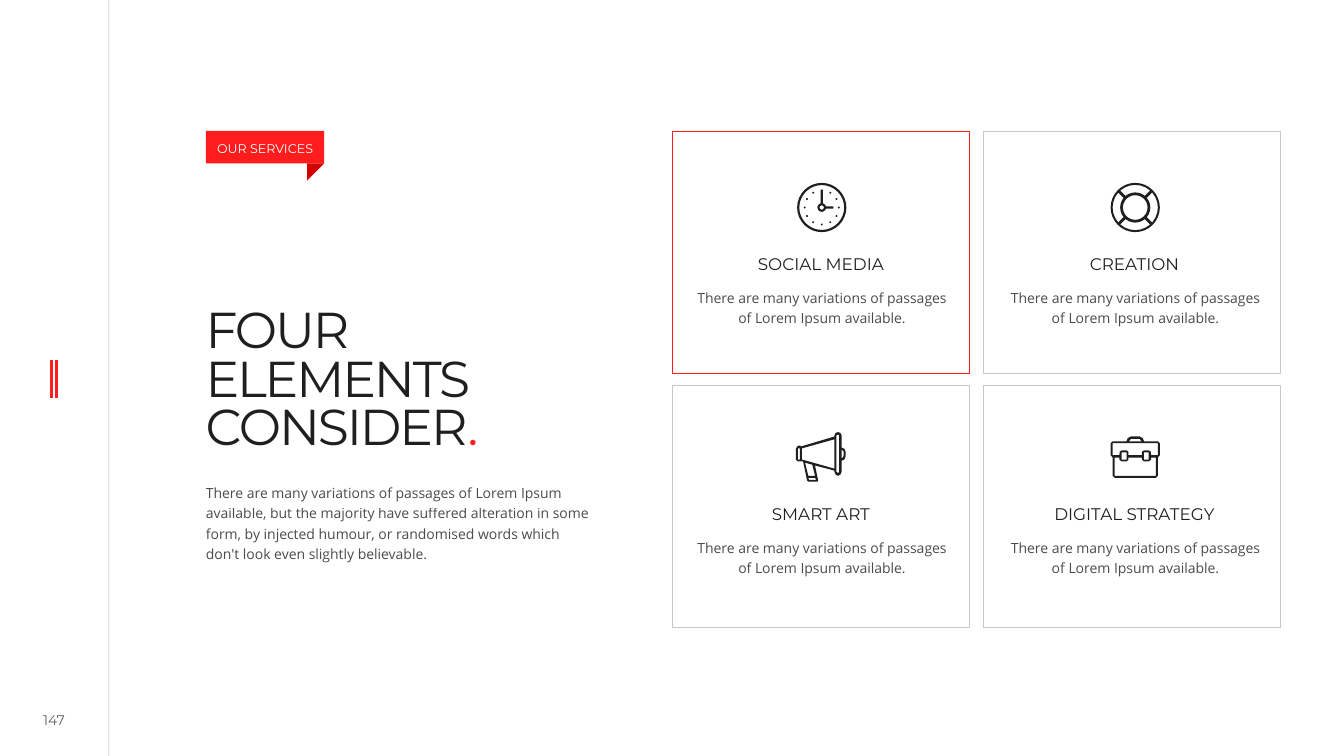
from dataclasses import dataclass
from math import asin, cos, degrees, radians, sin

from lxml import etree
from pptx import Presentation
from pptx import util as u
from pptx.dml.color import RGBColor
from pptx.enum import shapes, text
from pptx.oxml import ns

COLORS = {"ink": "1F1F1F", "red": "FE1C1D", "fold": "D30102",
          "frame": "C7C7C7", "white": "FFFFFF"}
HEAD_FONT, BODY_FONT = "Montserrat", "Open Sans"
CARD_TEXT = "There are many variations of passages of Lorem Ipsum available."
INTRO = ("There are many variations of passages of Lorem Ipsum available, but the majority "
         "have suffered alteration in some form, by injected humour, or randomised words "
         "which don't look even slightly believable.")
Point = tuple[float, float]
Outline = list[Point]


@dataclass(frozen=True)
class Style:
    size: float
    font: str = HEAD_FONT
    color: str = "ink"
    opacity: int = 100
    align: text.PP_ALIGN = text.PP_ALIGN.CENTER
    spacing: float | None = None


HEADING = Style(12, spacing=0.7)
CARD_BODY = Style(10, BODY_FONT, opacity=80, spacing=1.2)
INTRO_BODY = Style(10, BODY_FONT, opacity=80, align=text.PP_ALIGN.LEFT, spacing=1.2)
TITLE = Style(36, align=text.PP_ALIGN.LEFT, spacing=0.8)


def rgb(name: str) -> RGBColor:
    return RGBColor.from_string(COLORS[name])


def fade(element, opacity: int) -> None:
    """Make the first colour inside the element partly transparent."""
    color = element.find(f".//{ns.qn('a:srgbClr')}")
    etree.SubElement(color, ns.qn("a:alpha"), val=str(opacity * 1000))


def write(box, words: str, style: Style, top: float = 0.13, bottom: float = 0.13,
          anchor=text.MSO_ANCHOR.TOP):
    frame = box.text_frame
    frame.word_wrap, frame.auto_size = True, text.MSO_AUTO_SIZE.NONE
    frame.vertical_anchor = anchor
    frame.margin_left = frame.margin_right = 0
    frame.margin_top, frame.margin_bottom = u.Cm(top), u.Cm(bottom)
    para = frame.paragraphs[0]
    para.text = words
    para.alignment, para.line_spacing = style.align, style.spacing
    para.font.name, para.font.size = style.font, u.Pt(style.size)
    para.font.color.rgb = rgb(style.color)
    if style.opacity < 100:
        fade(para._p, style.opacity)
    return para


def add_text(page, area: tuple, words: str, style: Style, **options) -> None:
    write(page.shapes.add_textbox(*map(u.Cm, area)), words, style, **options)


def paint(shape, fill: str | None, line: str | None = None) -> None:
    shape.shadow.inherit = False
    if fill:
        shape.fill.solid()
        shape.fill.fore_color.rgb = rgb(fill)
    else:
        shape.fill.background()
    if line:
        shape.line.color.rgb = rgb(line)
        shape.line.width = u.Pt(0.5)
    else:
        shape.line.fill.background()


def add_block(page, kind, area: tuple, fill: str | None, line: str | None = None):
    block = page.shapes.add_shape(kind, *map(u.Cm, area))
    paint(block, fill, line)
    return block


def add_line(page, x: float, top: float, bottom: float, color: str, weight: float,
             opacity: int = 100) -> None:
    line = page.shapes.add_connector(shapes.MSO_CONNECTOR.STRAIGHT,
                                     *map(u.Cm, (x, top, x, bottom)))
    line.line.color.rgb = rgb(color)
    line.line.width = u.Pt(weight)
    etree.SubElement(line._element.spPr, ns.qn("a:effectLst"))
    if opacity < 100:
        fade(line._element.spPr, opacity)


def polar(radius: float, angle: float) -> Point:
    return radius * cos(radians(angle)), radius * sin(radians(angle))


def circle(radius: float, count: int = 32, center: Point = (0, 0)) -> Outline:
    ring = [polar(radius, 360 * step / count) for step in range(count)]
    return [(center[0] + x, center[1] + y) for x, y in ring]


def rectangle(left: float, top: float, right: float, bottom: float) -> Outline:
    return [(left, top), (right, top), (right, bottom), (left, bottom)]


def mirrored(*half: Point) -> Outline:
    """Complete the right half of a symmetric outline with its left half."""
    return [*half, *((-x, y) for x, y in reversed(half))]


def pane(middle: float, inner: float = 0.38, outer: float = 0.57) -> Outline:
    """Opening between two spokes of the lifebuoy."""
    points = []
    for radius, direction in ((outer, 1), (inner, -1)):
        reach = 45 - degrees(asin(0.035 / radius))
        points += [polar(radius, middle + direction * reach * step / 3) for step in range(-3, 4)]
    return points


CLOCK = [circle(0.62), circle(0.565), circle(0.11, 12), circle(0.055, 12),
         rectangle(-0.03, -0.45, 0.03, -0.11), rectangle(0.11, -0.03, 0.29, 0.03),
         *(circle(0.025, 6, polar(0.43, hour * 30 - 90)) for hour in range(1, 12))]
LIFEBUOY = [circle(0.62), circle(0.31), *(pane(middle) for middle in (0, 90, 180, 270))]
MEGAPHONE = [
    [(0.5, -0.25), (0.5, -0.56), (0.47, -0.62), (0.41, -0.64), (0.35, -0.62), (0.32, -0.56),
     (0.32, -0.53), (-0.52, -0.28), (-0.55, -0.3), (-0.6, -0.3), (-0.65, -0.23),
     (-0.65, 0.05), (-0.6, 0.1), (-0.47, 0.1), (-0.37, 0.58), (-0.34, 0.61),
     (-0.11, 0.61), (-0.09, 0.58), (-0.17, 0.2), (0.32, 0.33), (0.32, 0.36),
     (0.35, 0.43), (0.41, 0.46), (0.47, 0.43), (0.5, 0.36), (0.5, 0.08),
     (0.57, 0.05), (0.6, -0.03), (0.6, -0.15), (0.57, -0.22)],
    [(0.5, 0.03), (0.55, -0.03), (0.55, -0.15), (0.5, -0.2)],
    [(0.37, -0.56), (0.41, -0.58), (0.44, -0.56), (0.44, 0.36), (0.41, 0.39), (0.37, 0.36)],
    [(0.32, 0.28), (-0.5, 0.05), (-0.5, -0.23), (0.32, -0.46)],
    [(-0.17, 0.46), (-0.34, 0.46), (-0.42, 0.13), (-0.24, 0.18)],
    [(-0.14, 0.56), (-0.32, 0.56), (-0.34, 0.51), (-0.17, 0.51)],
    rectangle(-0.6, -0.23, -0.55, 0.05)]
BRIEFCASE = [
    mirrored((0.11, -0.53), (0.19, -0.49), (0.22, -0.41), (0.57, -0.41), (0.62, -0.36),
             (0.62, -0.06), (0.57, 0), (0.57, 0.46), (0.52, 0.51)),
    mirrored((0.11, -0.47), (0.16, -0.41)),
    mirrored((0.57, -0.36), (0.57, -0.06), (0.4, -0.06), (0.39, -0.15), (0.34, -0.18),
             (0.22, -0.18), (0.17, -0.15), (0.17, -0.06)),
    mirrored((0.17, 0), (0.17, 0.05), (0.22, 0.1), (0.34, 0.1), (0.4, 0.05), (0.4, 0),
             (0.52, 0), (0.52, 0.46)),
    rectangle(0.22, -0.13, 0.34, 0.05), rectangle(-0.34, -0.13, -0.22, 0.05)]


@dataclass(frozen=True)
class Card:
    name: str
    icon: list[Outline]
    frame: str = "frame"


CARDS = (Card("SOCIAL MEDIA", CLOCK, "red"), Card("CREATION", LIFEBUOY),
         Card("SMART ART", MEGAPHONE), Card("DIGITAL STRATEGY", BRIEFCASE))


def add_icon(page, outlines: list[Outline], x: float, y: float) -> None:
    """Fill all outlines as one shape, so that inner ones become holes."""
    builder = None
    for outline in outlines:
        start, *rest = [(u.Cm(x + dx), u.Cm(y + dy)) for dx, dy in outline]
        if builder is None:
            builder = page.shapes.build_freeform(*start)
        else:
            builder.move_to(*start)
        builder.add_line_segments(rest, close=True)
    paint(builder.convert_to_shape(), "ink")


def add_card(page, card: Card, column: int, row: int) -> None:
    add_block(page, shapes.MSO_SHAPE.RECTANGLE,
              (16.94 + 7.84 * column, 3.3 + 6.41 * row, 7.5, 6.1), None, card.frame)
    x, y = 20.71 + 7.9 * column, 5.23 + 6.3 * row
    add_icon(page, card.icon, x, y)
    add_text(page, (x - 3.36, y + 1.17, 6.68, 0.66), card.name, HEADING)
    add_text(page, (x - 3.32, y + 1.85, 6.65, 1.27), CARD_TEXT, CARD_BODY)


def add_title(page) -> None:
    title = page.shapes.title
    title.left, title.top, title.width, title.height = map(u.Cm, (5.18, 7.28, 11.73, 4.5))
    para = write(title, "FOUR\vELEMENTS\vCONSIDER", TITLE, top=0.53, bottom=0)
    stop = para.add_run()
    stop.text = "."
    stop.font.color.rgb = rgb("red")
    for span in para.runs:
        span.font._element.set("spc", "-150")


def main() -> None:
    deck = Presentation()
    deck.slide_width, deck.slide_height = u.Cm(33.87), u.Cm(19.05)
    page = deck.slides.add_slide(deck.slide_layouts.get_by_name("Title Only"))
    add_line(page, 2.74, 0, 19.05, "ink", 0.5, opacity=20)
    for x in (1.3, 1.43):
        add_line(page, x, 9.07, 10.03, "red", 2)
    add_text(page, (0.65, 17.82, 1.42, 0.64), "147", Style(10, opacity=70),
             top=0, bottom=0, anchor=text.MSO_ANCHOR.MIDDLE)
    add_title(page)
    add_text(page, (5.19, 12, 9.8, 2.26), INTRO, INTRO_BODY)
    tag = add_block(page, shapes.MSO_SHAPE.RECTANGLE, (5.19, 3.3, 2.98, 0.82), "red")
    write(tag, "OUR SERVICES", Style(9, color="white"), top=0.18,
          anchor=text.MSO_ANCHOR.MIDDLE)
    fold = add_block(page, shapes.MSO_SHAPE.RIGHT_TRIANGLE, (7.74, 4.12, 0.43, 0.43), "fold")
    fold.rotation = 90
    for index, card in enumerate(CARDS):
        add_card(page, card, column=index % 2, row=index // 2)
    deck.save("out.pptx")


if __name__ == "__main__":
    main()
